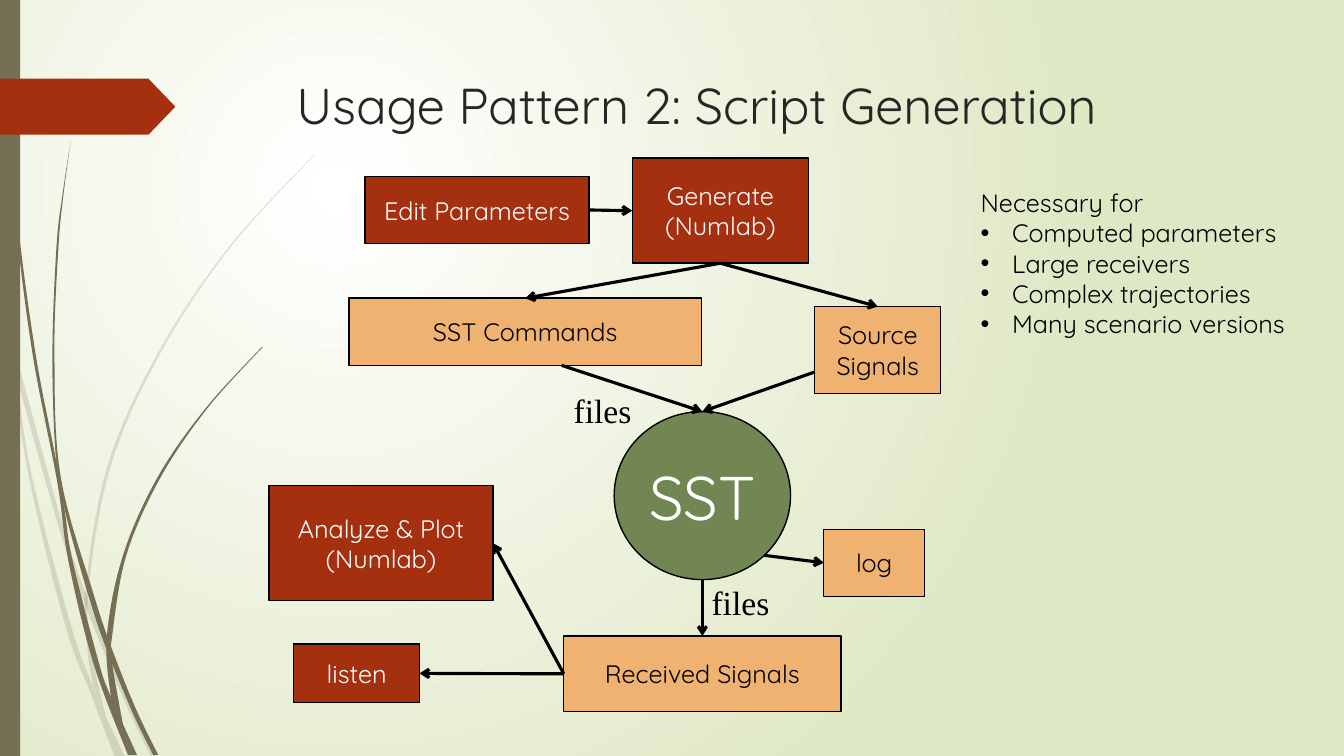
from dataclasses import dataclass

from lxml.etree import SubElement
from pptx import Presentation
from pptx.dml.color import RGBColor as Rgb
from pptx.enum.shapes import MSO_CONNECTOR as Connector, MSO_SHAPE as Preset
from pptx.enum.text import MSO_ANCHOR as Anchor, MSO_AUTO_SIZE as AutoSize, PP_ALIGN as Align
from pptx.oxml.ns import qn
from pptx.util import Pt


@dataclass(frozen=True)
class Theme:
    white: str = "FFFFFF"
    black: str = "000000"
    ink: str = "262626"
    meadow: str = "DFE8C4"
    bark: str = "766F54"
    rust: str = "A53010"
    sand: str = "F0B270"
    moss: str = "728653"
    sans: str = "Quicksand"
    serif: str = "Times New Roman"
    title: int = 36
    hub: int = 44
    label: int = 24
    body: int = 18
    outline: float = 1
    arrow: float = 2.25


@dataclass(frozen=True)
class Box:
    left: float
    top: float
    width: float
    height: float

    def inner(self, left, top, width, height):
        return Box(self.left + left, self.top + top, width, height)

    def lengths(self):
        return [Pt(value) for value in (self.left, self.top, self.width, self.height)]


THEME = Theme()
TOP, LEFT, BOTTOM, RIGHT = range(4)

PALE_BLADES = [
    ([(0, 282), (11, 350), (17, 376), (58, 522), (84, 599), (123, 694), (150, 751)],
     [(155, 751), (127, 692), (92, 607), (62, 520), (14, 345), (0, 299)]),
    ([(11, 350), (28, 470), (65, 621), (92, 693), (114, 751)],
     [(124, 751), (105, 711), (93, 683), (70, 619), (31, 469), (17, 376)]),
    ([(312, 153), (228, 244), (158, 348), (107, 461), (85, 584), (87, 646), (93, 683)],
     [(105, 711), (91, 646), (88, 584), (110, 462), (160, 349), (229, 245), (312, 154)]),
]
DARK_BLADES = [
    ([(3, 0), (7, 110), (17, 233), (33, 355), (57, 479), (68, 557), (93, 659), (127, 749)],
     [(136, 749), (110, 691), (98, 657), (72, 556), (64, 505), (55, 453), (36, 355),
      (19, 232), (8, 109), (4, 0)]),
    ([(70, 141), (62, 193), (56, 245), (52, 349), (55, 449), (64, 505), (88, 592),
      (106, 645), (132, 708), (152, 749)],
     [(157, 749), (136, 706), (113, 649), (93, 590), (60, 472), (54, 349), (58, 245),
      (63, 193), (70, 141)]),
    ([(260, 344), (204, 405), (156, 474), (122, 551), (106, 631), (110, 691), (117, 722)],
     [(122, 719), (111, 656), (111, 633), (125, 552), (158, 476), (205, 406), (261, 344)]),
]


def smooth(points, steps=8):
    padded = [points[0], *points, points[-1]]
    curve = []
    for before, start, end, after in zip(padded, padded[1:], padded[2:], padded[3:]):
        for step in range(steps):
            t = step / steps
            curve.append(tuple(
                (2 * b + (c - a) * t + (2 * a - 5 * b + 4 * c - d) * t ** 2
                 + (3 * b - a - 3 * c + d) * t ** 3) / 2
                for a, b, c, d in zip(before, start, end, after)))
    return curve + [points[-1]]


def paint(shape, color, outlined=False):
    shape.shadow.inherit = False
    shape.fill.solid()
    shape.fill.fore_color.rgb = Rgb.from_string(color)
    if outlined:
        shape.line.color.rgb = Rgb.from_string(THEME.black)
        shape.line.width = Pt(THEME.outline)
    else:
        shape.line.fill.background()


def write(frame, lines, size, color=THEME.black, font=THEME.sans, align=Align.LEFT):
    for index, line in enumerate(lines):
        paragraph = frame.add_paragraph() if index else frame.paragraphs[0]
        paragraph.alignment = align
        run = paragraph.add_run()
        run.text = line
        run.font.name = font
        run.font.size = Pt(size)
        run.font.color.rgb = Rgb.from_string(color)


def add_text(slide, box, lines, size, font=THEME.sans):
    frame = slide.shapes.add_textbox(*box.lengths()).text_frame
    frame.word_wrap = True
    frame.auto_size = AutoSize.SHAPE_TO_FIT_TEXT
    write(frame, lines, size, font=font)
    return frame


def add_background(slide):
    fill = slide.background.fill
    fill.gradient()
    for stop, position, color in zip(fill.gradient_stops, (0, 1), (THEME.white, THEME.meadow)):
        stop.position = position
        stop.color.rgb = Rgb.from_string(color)
    gradient = slide.element.find(".//" + qn("a:gradFill"))
    gradient.remove(gradient.find(qn("a:lin")))
    circle = SubElement(gradient, qn("a:path"), path="circle")
    SubElement(circle, qn("a:fillToRect"), l="50000", t="50000", r="100000", b="100000")


def add_blade(slide, box, edges, alpha):
    scale = box.height / 750
    outline = [(Pt(box.left + x * scale), Pt(box.top + y * scale))
               for edge in edges for x, y in smooth(edge)]
    builder = slide.shapes.build_freeform(*outline[0])
    builder.add_line_segments(outline[1:], close=True)
    blade = builder.convert_to_shape()
    paint(blade, THEME.bark)
    color = blade.fill._xPr.find(".//" + qn("a:srgbClr"))
    SubElement(color, qn("a:alpha"), val=str(alpha * 1000))


def add_decoration(slide, box):
    for blades, alpha in ((PALE_BLADES, 20), (DARK_BLADES, 100)):
        for edges in blades:
            add_blade(slide, box, edges, alpha)
    bar = slide.shapes.add_shape(Preset.RECTANGLE, *box.inner(0, 0, 14.4, box.height).lengths())
    paint(bar, THEME.bark)
    tag = slide.shapes.add_shape(Preset.PENTAGON, *box.inner(0, 56.2, 125.3, 40).lengths())
    tag.adjustments[0] = 0.48
    paint(tag, THEME.rust)


def add_title(slide, box):
    title = slide.shapes.title
    title.left, title.top, title.width, title.height = box.lengths()
    title.text_frame.vertical_anchor = Anchor.TOP
    write(title.text_frame, ["Usage Pattern 2: Script Generation"], THEME.title, THEME.ink)


def add_node(slide, box, lines, fill, color=THEME.white, size=THEME.body, preset=Preset.RECTANGLE):
    node = slide.shapes.add_shape(preset, *box.lengths())
    paint(node, fill, outlined=True)
    node.text_frame.word_wrap = False
    node.text_frame.vertical_anchor = Anchor.MIDDLE
    write(node.text_frame, lines, size, color, align=Align.CENTER)
    return node


def add_arrow(slide, end, joint=None, point=(0, 0)):
    x, y = [Pt(value) for value in point]
    arrow = slide.shapes.add_connector(Connector.STRAIGHT, x, y, x, y)
    if joint:
        arrow.begin_connect(*joint)
    arrow.end_connect(*end)
    arrow.line.color.rgb = Rgb.from_string(THEME.black)
    arrow.line.width = Pt(THEME.arrow)
    SubElement(arrow.line._get_or_add_ln(), qn("a:tailEnd"), type="arrow")
    SubElement(arrow._element.spPr, qn("a:effectLst"))


def add_flow(slide, box):
    def step(lines, *place):
        return add_node(slide, box.inner(*place), lines, THEME.rust)

    def data(lines, *place):
        return add_node(slide, box.inner(*place), lines, THEME.sand, THEME.black)

    edit = step(["Edit Parameters"], 68.6, 13, 160, 48)
    generate = step(["Generate", "(Numlab)"], 259.4, 0, 126, 75)
    analyze = step(["Analyze & Plot", "(Numlab)"], 0, 234, 160, 82)
    listen = step(["listen"], 17.5, 347, 90, 42)
    commands = data(["SST Commands"], 57, 100, 252, 48)
    source = data(["Source", "Signals"], 389.8, 106, 90, 62)
    log = data(["log"], 396.2, 265, 72, 48)
    received = data(["Received Signals"], 210.5, 341.3, 198, 54)
    hub = add_node(slide, box.inner(246.5, 181, 126, 120), ["SST"], THEME.moss,
                   size=THEME.hub, preset=Preset.OVAL)

    for start, start_side, end, end_side in (
            (edit, RIGHT, generate, LEFT), (generate, BOTTOM, commands, TOP),
            (generate, BOTTOM, source, TOP), (received, LEFT, analyze, RIGHT),
            (received, LEFT, listen, RIGHT)):
        add_arrow(slide, (end, end_side), joint=(start, start_side))
    for x, y, end, end_side in ((209, 148, hub, TOP), (389.8, 152.7, hub, TOP),
                                (309.5, 301, received, TOP), (353.8, 283.7, log, LEFT)):
        add_arrow(slide, (end, end_side), point=(box.left + x, box.top + y))
    for left, top in ((210.5, 162), (309, 299)):
        add_text(slide, box.inner(left, top, 61, 36), ["files"], THEME.label, THEME.serif)


def add_notes(slide, box):
    frame = add_text(slide, box, ["Necessary for", "Computed parameters", "Large receivers",
                                  "Complex trajectories", "Many scenario versions"], THEME.body)
    for paragraph in frame.paragraphs[1:]:
        properties = paragraph._p.get_or_add_pPr()
        properties.set("marL", str(Pt(22.5)))
        properties.set("indent", str(-Pt(22.5)))
        SubElement(properties, qn("a:buFont"), typeface="Arial")
        SubElement(properties, qn("a:buChar"), char="•")


def main():
    presentation = Presentation()
    presentation.slide_width, presentation.slide_height = Pt(960), Pt(540)
    slide = presentation.slides.add_slide(presentation.slide_layouts[5])
    add_background(slide)
    add_decoration(slide, Box(0, 0, 225, 540))
    add_title(slide, Box(204.5, 49, 702, 62))
    add_flow(slide, Box(192.2, 113, 480, 396))
    add_notes(slide, Box(693.4, 130.3, 246, 138))
    presentation.save("out.pptx")


if __name__ == "__main__":
    main()
